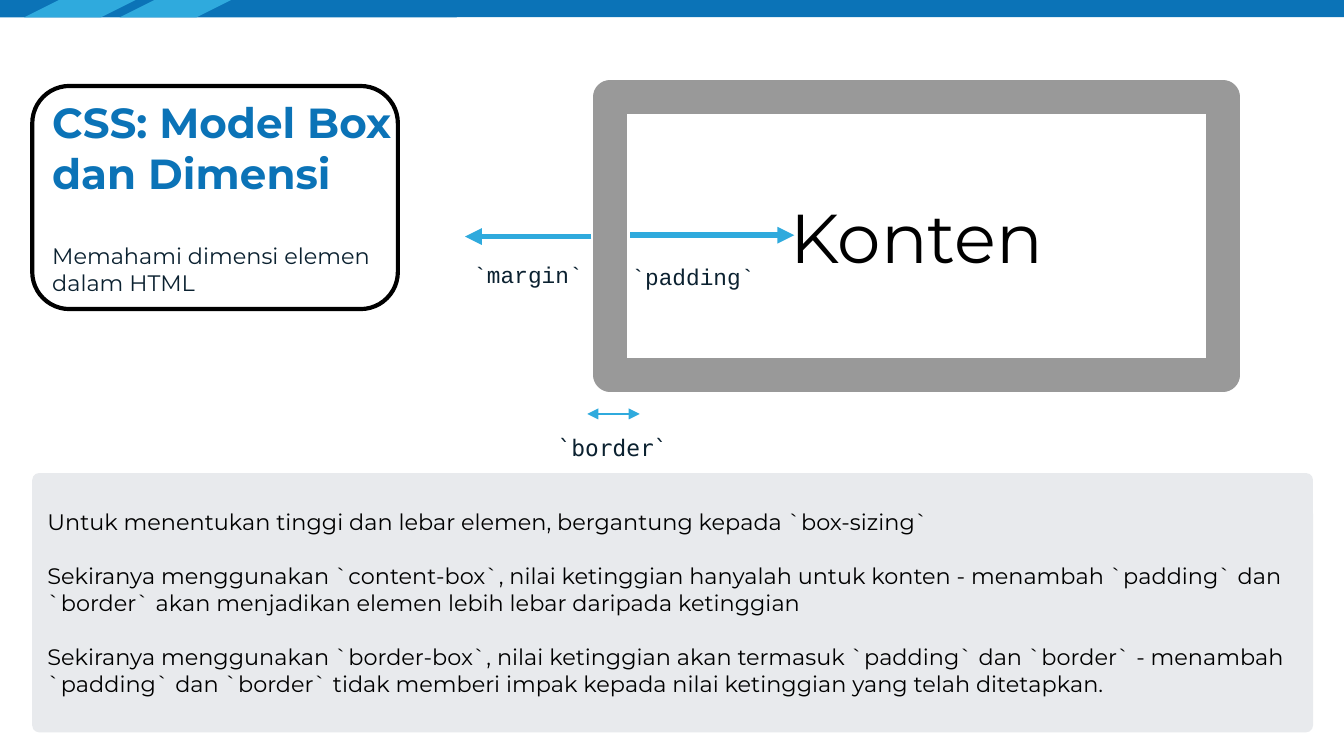
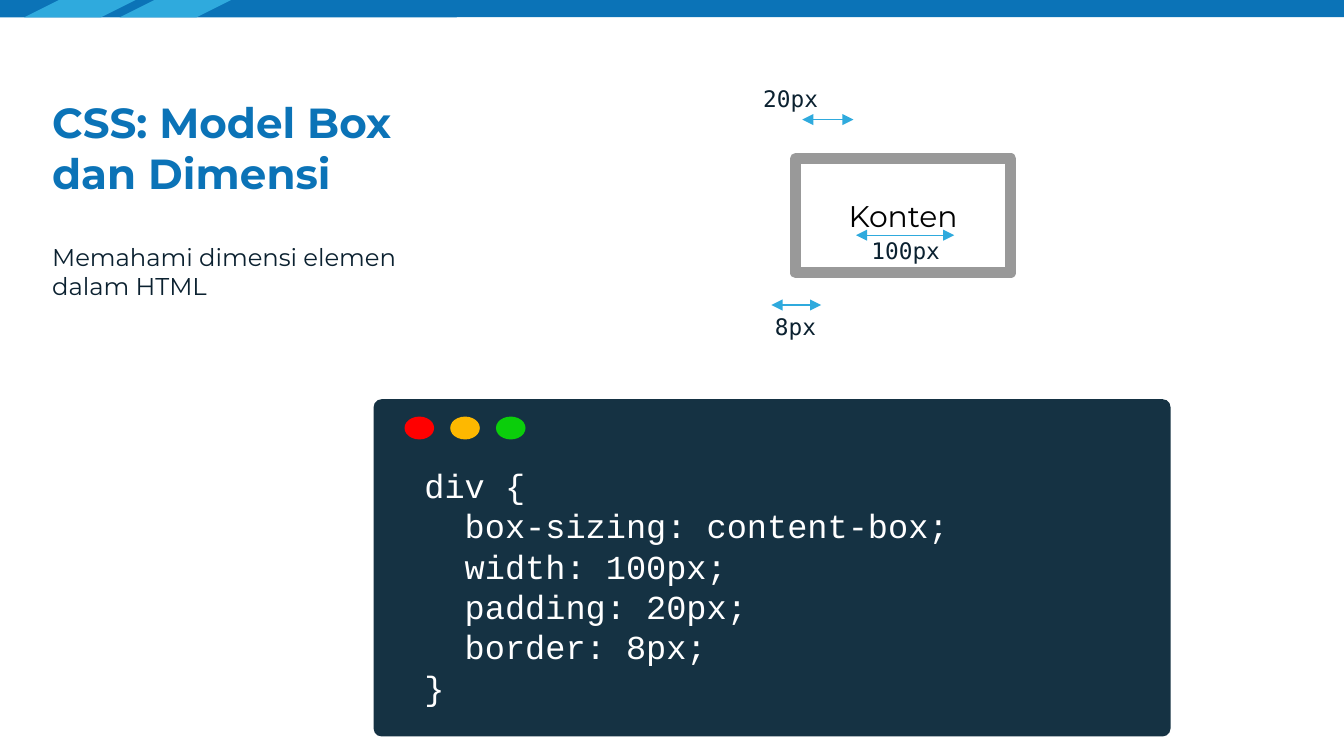
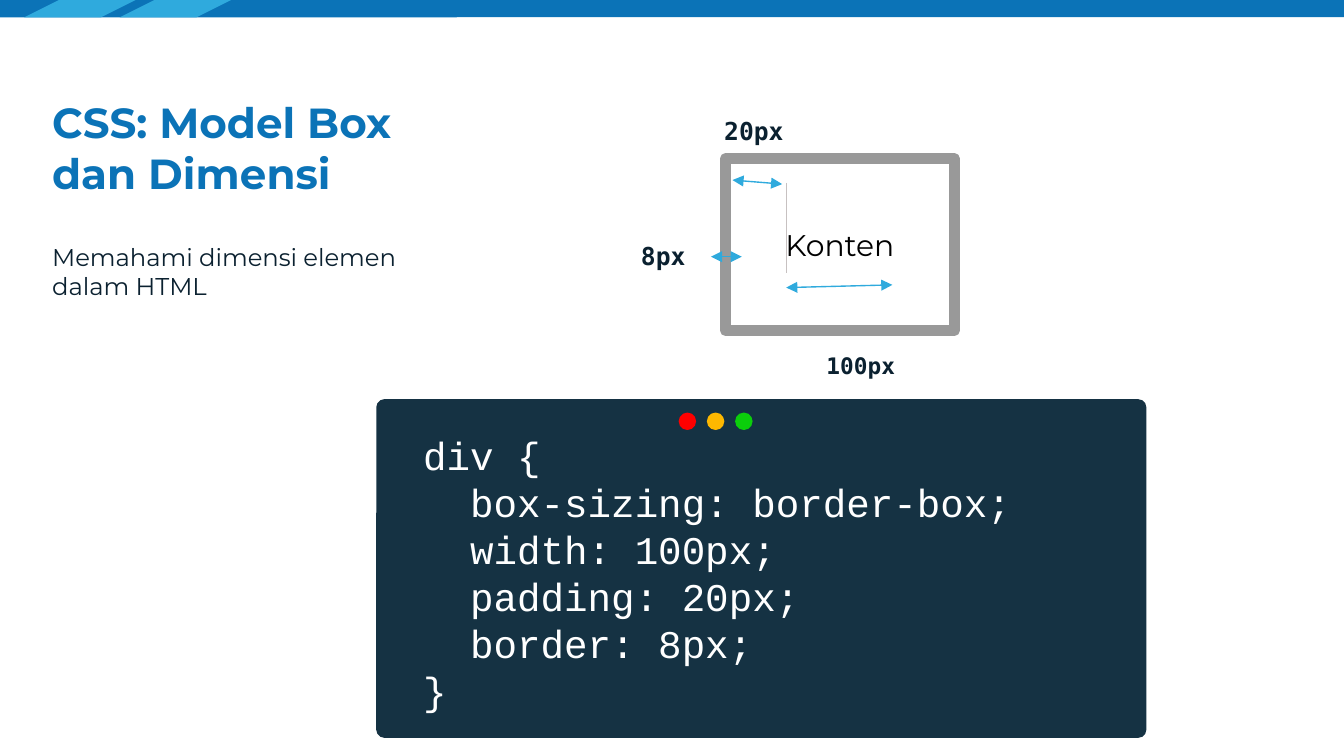
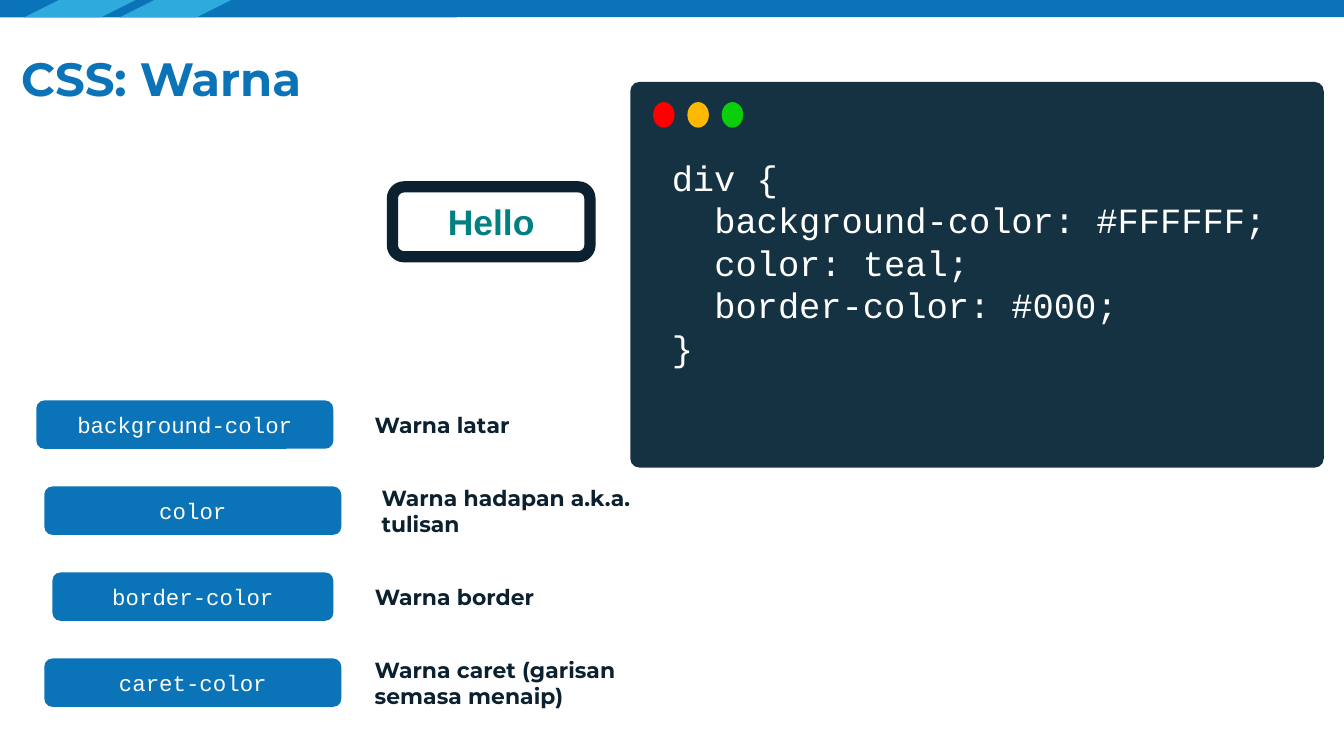
"""Build four slides on the CSS box model and CSS colours."""
from dataclasses import dataclass
from typing import NamedTuple, Optional

from lxml.etree import SubElement
from pptx import Presentation
from pptx.dml.color import RGBColor
from pptx.enum.shapes import MSO_CONNECTOR as Link, MSO_SHAPE as Kind
from pptx.enum.text import MSO_ANCHOR as Anchor, PP_ALIGN as Align
from pptx.oxml.ns import qn
from pptx.util import Inches, Pt

WIDE, HIGH = Inches(10), Inches(5.625)
COLS = 100
CELL = WIDE // COLS
ROWS = HIGH / CELL

BLUE, SKY, INK, NIGHT = "0B73B7", "2FAADD", "0B2130", "153243"
WHITE, BLACK, GRAY, PALE = "FFFFFF", "000000", "999999", "E8EAED"
RULE, TEAL = "C7C1C1", "008080"
LIGHTS = ("FF0000", "FEB800", "0BCE0B")
SANS, CODE, MONO, PLAIN = "Montserrat", "Courier New", "DejaVu Sans Mono", "Arial"


class Box(NamedTuple):
    left: float
    top: float
    width: float
    height: float


@dataclass(frozen=True)
class Type:
    size: float
    font: str = SANS
    color: str = INK
    bold: bool = False
    align: Align = Align.LEFT
    anchor: Anchor = Anchor.MIDDLE
    gap: float = 0
    loose: bool = False


@dataclass(frozen=True)
class Look:
    fill: Optional[str] = None
    line: Optional[str] = None
    weight: float = 0
    turn: Optional[float] = None


@dataclass(frozen=True)
class Arrow:
    start: tuple[float, float]
    end: tuple[float, float]
    weight: float = 0.75
    heads: tuple[str, ...] = ("headEnd", "tailEnd")
    color: str = SKY


@dataclass(frozen=True)
class Label:
    text: str
    box: Box
    style: Type


@dataclass(frozen=True)
class Window:
    frame: Box
    light: Box
    step: float
    area: Box
    size: float
    rules: tuple[str, ...]


def paint(value: str) -> RGBColor:
    return RGBColor.from_string(value)


def span(*cells: float) -> list[int]:
    return [round(cell * CELL) for cell in cells]


def write(shape, lines: tuple[str, ...], style: Type) -> None:
    frame = shape.text_frame
    frame.word_wrap = True
    frame.vertical_anchor = style.anchor
    frame.margin_left = frame.margin_right = CELL
    frame.margin_top = frame.margin_bottom = CELL
    for index, line in enumerate(lines):
        para = frame.add_paragraph() if index else frame.paragraphs[0]
        para.text = line
        para.alignment = style.align
        font = para.font
        font.name, font.size, font.bold = style.font, Pt(style.size), style.bold
        font.color.rgb = paint(style.color)
        if index and style.gap:
            para.space_before = Pt(style.gap)
        if style.loose:
            para.line_spacing, para.space_after = 1.15, Pt(12)


def draw(shapes, kind: Kind, box: Box, look: Look):
    shape = shapes.add_shape(kind, *span(*box))
    shape.shadow.inherit = False
    if look.fill:
        shape.fill.solid()
        shape.fill.fore_color.rgb = paint(look.fill)
    else:
        shape.fill.background()
    if look.line:
        shape.line.color.rgb = paint(look.line)
        shape.line.width = Pt(look.weight)
    else:
        shape.line.fill.background()
    if look.turn is not None:
        shape.adjustments[0] = look.turn
    return shape


def put(shapes, label: Label):
    shape = shapes.add_textbox(*span(*label.box))
    write(shape, (label.text,), label.style)


def link(shapes, arrow: Arrow) -> None:
    line = shapes.add_connector(Link.STRAIGHT, *span(*arrow.start, *arrow.end))
    line.line.color.rgb = paint(arrow.color)
    line.line.width = Pt(arrow.weight)
    props = line._element.spPr
    for head in arrow.heads:
        SubElement(props.find(qn("a:ln")), qn(f"a:{head}"), type="triangle")
    SubElement(props, qn("a:effectLst"))


def show(shapes, window: Window) -> None:
    group = shapes.add_group_shape().shapes
    draw(group, Kind.ROUNDED_RECTANGLE, window.frame, Look(NIGHT, turn=0.024))
    for index, color in enumerate(LIGHTS):
        spot = window.light._replace(left=window.light.left + index * window.step)
        draw(group, Kind.OVAL, spot, Look(color))
    area = group.add_textbox(*span(*window.area))
    style = Type(window.size, CODE, WHITE, anchor=Anchor.TOP)
    write(area, ("div {", *window.rules, "}"), style)
    inset = Pt(2 * 0.6 * window.size)
    for para in area.text_frame.paragraphs[1:-1]:
        para._p.get_or_add_pPr().set("marL", str(inset))


def start(deck):
    shapes = deck.slides.add_slide(deck.slide_layouts[6]).shapes
    draw(shapes, Kind.RECTANGLE, Box(0, 0, COLS, 1.3), Look(BLUE))
    for left in (1.8, 8.9):
        draw(shapes, Kind.PARALLELOGRAM, Box(left, 0, 8.3, 1.3), Look(SKY, turn=2))
    draw(shapes, Kind.RECTANGLE, Box(34, 1.3, COLS - 34, ROWS - 1.3), Look(WHITE))
    return shapes


def head(shapes, text: str, box: Box, size: float) -> None:
    put(shapes, Label(text, box, Type(size, color=BLUE, bold=True, anchor=Anchor.BOTTOM)))


def intro(deck, size: float):
    shapes = start(deck)
    head(shapes, "CSS: Model Box dan Dimensi", Box(2.9, 5.3, 27.6, 10.4), 22.5)
    put(shapes, Label("Memahami dimensi elemen dalam HTML",
                      Box(2.9, 17, 27.6, 13.5), Type(size, anchor=Anchor.TOP)))
    return shapes


def model(shapes, box: Box, weight: float, size: float) -> None:
    shape = draw(shapes, Kind.RECTANGLE, box, Look(line=GRAY, weight=weight))
    write(shape, ("Konten",), Type(size, color=BLACK, align=Align.CENTER))


def parts(deck) -> None:
    shapes = intro(deck, 12)
    model(shapes, Box(45.4, 7.2, 45.6, 20.7), 18, 37)
    for arrow in (
        Arrow((46.9, 17.5), (59.1, 17.5), 3, ("tailEnd",)),
        Arrow((44, 17.6), (34.6, 17.6), 3, ("tailEnd",)),
        Arrow((43.7, 30.8), (47.6, 30.8), 1.5),
    ):
        link(shapes, arrow)
    for label in (
        Label("`padding`", Box(46, 18.5, 11.6, 3.8), Type(12.2, CODE, loose=True)),
        Label("`margin`", Box(33.5, 18.5, 11.6, 3.8), Type(12.2, CODE, align=Align.CENTER)),
        Label("`border`", Box(39.8, 31.4, 11.6, 3.8), Type(12.2, MONO, align=Align.CENTER)),
    ):
        put(shapes, label)
    panel = draw(shapes, Kind.ROUNDED_RECTANGLE, Box(2.4, 35.2, 95.3, 19.3),
                 Look(PALE, turn=0.027))
    write(panel, (
        "Untuk menentukan tinggi dan lebar elemen, bergantung kepada `box-sizing`",
        "Sekiranya menggunakan `content-box`, nilai ketinggian hanyalah untuk konten - "
        "menambah `padding` dan `border` akan menjadikan elemen lebih lebar daripada "
        "ketinggian",
        "Sekiranya menggunakan `border-box`, nilai ketinggian akan termasuk `padding` dan "
        "`border` - menambah `padding` dan `border` tidak memberi impak kepada nilai "
        "ketinggian yang telah ditetapkan.",
    ), Type(12, color=BLACK, gap=14.5))
    draw(shapes, Kind.ROUNDED_RECTANGLE, Box(2.4, 6.4, 27.2, 16.6),
         Look(line=BLACK, weight=2.25))


def sizing(deck, box: Box, window: Window, arrows: tuple[Arrow, ...],
           labels: tuple[Label, ...]) -> None:
    shapes = intro(deck, 13)
    model(shapes, box, 6, 16)
    show(shapes, window)
    for arrow in arrows:
        link(shapes, arrow)
    for label in labels:
        put(shapes, label)


def rules(mode: str) -> tuple[str, ...]:
    return f"box-sizing: {mode};", "width: 100px;", "padding: 20px;", "border: 8px;"


def content(deck) -> None:
    mid = Type(12.2, MONO, align=Align.CENTER)
    sizing(
        deck, Box(59.2, 11.8, 16, 8.5),
        Window(Box(27.8, 29.7, 59.3, 25.1), Box(30.1, 31, 2.2, 1.7), 3.4,
               Box(30.6, 33.6, 54.7, 20.2), 18, rules("content-box")),
        (Arrow((59.7, 8.9), (63.5, 8.9)),
         Arrow((57.4, 22.7), (61.1, 22.7)),
         Arrow((63.7, 17.5), (71, 17.5))),
        (Label("20px", Box(55.8, 5.3, 11.6, 3.8), Type(12.2, MONO, loose=True)),
         Label("8px", Box(53.4, 22.4, 11.6, 3.8), mid),
         Label("100px", Box(61.6, 16.7, 11.6, 3.8), mid)),
    )


def border(deck) -> None:
    sizing(
        deck, Box(54, 11.8, 17, 12.8),
        Window(Box(28, 29.7, 57.3, 25.2), Box(50.5, 30.7, 1.3, 1.3), 2.1,
               Box(30.5, 31.1, 52.9, 23.2), 21, rules("border-box")),
        (Arrow((54.5, 13.4), (58.2, 13.7)),
         Arrow((52.9, 19.1), (55.2, 19.1)),
         Arrow((58.5, 21.4), (66.4, 21.2)),
         Arrow((58.5, 13.6), (58.5, 20.3), heads=(), color=RULE)),
        (Label("20px", Box(52.9, 8.3, 7.5, 2.5), Type(13.2, MONO, bold=True, loose=True)),
         Label("8px", Box(46.6, 17.8, 5.5, 2.5),
               Type(13.2, MONO, bold=True, align=Align.CENTER)),
         Label("100px", Box(60.4, 25.9, 7.3, 2.5),
               Type(12.2, MONO, bold=True, align=Align.CENTER))),
    )


def colors(deck) -> None:
    shapes = start(deck)
    head(shapes, "CSS: Warna", Box(0.6, 2.7, 27.6, 6.2), 25)
    pairs = (
        ("background-color", 2.7, 22.1, "Warna latar", 26.9, 17),
        ("color", 3.3, 22.1, "Warna hadapan a.k.a. tulisan", 27.4, 22.1),
        ("border-color", 3.9, 20.9, "Warna border", 26.9, 22.1),
        ("caret-color", 3.3, 22.1, "Warna caret (garisan semasa menaip)", 26.9, 24.7),
    )
    for index, (name, left, width, text, edge, room) in enumerate(pairs):
        top = 29.8 + 6.4 * index
        pill = draw(shapes, Kind.ROUNDED_RECTANGLE, Box(left, top, width, 3.6), Look(BLUE))
        write(pill, (name,), Type(12, CODE, WHITE, align=Align.CENTER))
        put(shapes, Label(text, Box(edge, top, room, 3.6), Type(11.7, bold=True)))
    show(shapes, Window(
        Box(46.9, 6.1, 51.6, 28.7), Box(48.6, 7.6, 1.6, 1.9), 2.55,
        Box(49, 10.6, 49.5, 18), 19,
        ("background-color: #FFFFFF;", "color: teal;", "border-color: #000;")))
    hello = draw(shapes, Kind.ROUNDED_RECTANGLE, Box(29.2, 13.9, 14.7, 5.2),
                 Look(WHITE, INK, 6))
    write(hello, ("Hello",), Type(19, PLAIN, TEAL, True, Align.CENTER))


def main() -> None:
    deck = Presentation()
    deck.slide_width, deck.slide_height = WIDE, HIGH
    for build in (parts, content, border, colors):
        build(deck)
    deck.save("out.pptx")


if __name__ == "__main__":
    main()
